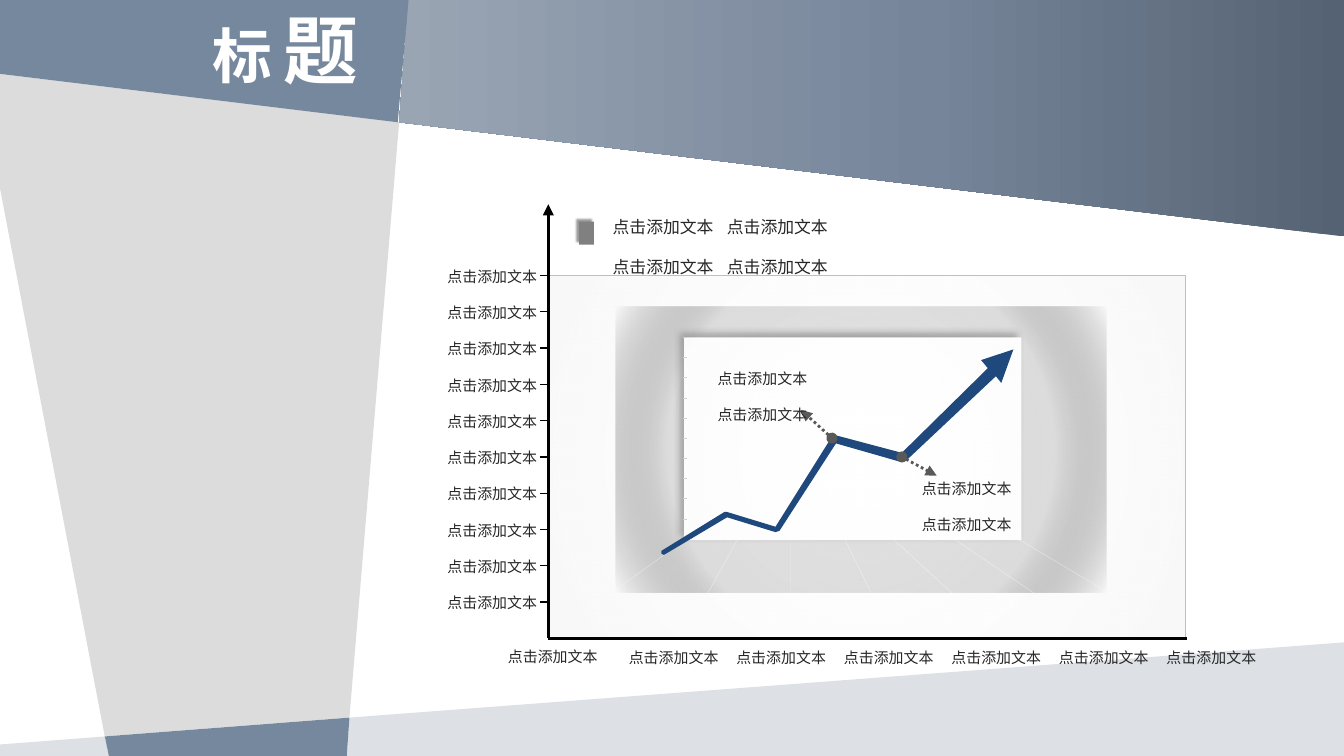
from dataclasses import dataclass

import pptx
import pptx.dml.color
import pptx.enum.dml
import pptx.enum.shapes
import pptx.enum.text
import pptx.oxml.ns
import pptx.util
from lxml import etree
from pptx.util import Inches

qn = pptx.oxml.ns.qn


@dataclass(frozen=True)
class Theme:
    """Hold the colours, font and type sizes."""
    font: str = "Noto Sans CJK SC"
    band: str = "76889D"
    floor: str = "BDC4CF"
    side: str = "9B9B9B"
    ink: str = "262626"
    black: str = "000000"
    white: str = "FFFFFF"
    edge: str = "BFBFBF"
    plot: str = "F2F2F2"
    marker: str = "808080"
    trend: str = "1F497D"
    callout: str = "595959"
    header: tuple = ((0, "556273", 100), (44, "76859A", 100), (100, "9AA5B4", 100))
    title_small: int = 32
    title_large: int = 40
    legend: int = 9
    label: int = 8


THEME = Theme()
WIDTH = 10
HEIGHT = WIDTH * 9 / 16
LABEL = "点击添加文本"
JOINTS = [(6.19, 3.26), (6.71, 3.4)]


def rgb(value):
    """Turn a hex string into a colour."""
    return pptx.dml.color.RGBColor.from_string(value)


def add_node(parent, tag, **attributes):
    """Append an XML child with the given attributes."""
    node = etree.SubElement(parent, qn(tag))
    for key, value in attributes.items():
        node.set(key, str(value))
    return node


def add_color(parent, color, alpha=100):
    """Append an RGB colour with an opacity in percent."""
    node = add_node(parent, "a:srgbClr", val=color)
    if alpha < 100:
        add_node(node, "a:alpha", val=alpha * 1000)


def paint(shape, color, alpha=100):
    """Give a shape a plain fill, no line and no shadow."""
    shape.shadow.inherit = False
    shape.line.fill.background()
    shape.fill.solid()
    shape.fill.fore_color.rgb = rgb(color)
    if alpha < 100:
        node = shape._element.spPr.find(qn("a:solidFill"))[0]
        add_node(node, "a:alpha", val=alpha * 1000)


def paint_gradient(shape, stops, angle=None):
    """Give a shape a linear gradient, or a circular one without an angle."""
    paint(shape, THEME.white)
    properties = shape._element.spPr
    gradient = etree.Element(qn("a:gradFill"), rotWithShape="1")
    stop_list = add_node(gradient, "a:gsLst")
    for position, color, alpha in stops:
        add_color(add_node(stop_list, "a:gs", pos=position * 1000), color, alpha)
    if angle is None:
        route = add_node(gradient, "a:path", path="circle")
        add_node(route, "a:fillToRect", l=50000, t=50000, r=50000, b=50000)
    else:
        add_node(gradient, "a:lin", ang=angle * 60000, scaled=0)
    properties.replace(properties.find(qn("a:solidFill")), gradient)


def add_shadow(shape, blur, distance):
    """Cast a soft shadow to the upper left."""
    effects = shape._element.spPr.find(qn("a:effectLst"))
    shadow = add_node(effects, "a:outerShdw", blurRad=pptx.util.Pt(blur),
                      dist=pptx.util.Pt(distance), dir=225 * 60000, algn="br", rotWithShape=0)
    add_color(shadow, THEME.black, 40)


def add_polygon(page, points):
    """Draw a closed outline through points in inches."""
    corners = [(Inches(x), Inches(y)) for x, y in points]
    builder = page.shapes.build_freeform(*corners[0], scale=1.0)
    builder.add_line_segments(corners[1:], close=True)
    return builder.convert_to_shape()


def add_rectangle(page, left, top, width, height):
    """Draw a rectangle placed in inches."""
    return page.shapes.add_shape(pptx.enum.shapes.MSO_SHAPE.RECTANGLE,
                                 Inches(left), Inches(top), Inches(width), Inches(height))


def add_line(page, start, end, color, width, alpha=100, dash=None, head=None, tail=None):
    """Draw a straight line with optional dash and line ends."""
    line = page.shapes.add_connector(pptx.enum.shapes.MSO_CONNECTOR.STRAIGHT,
                                     *(Inches(value) for value in (*start, *end)))
    line.line.color.rgb = rgb(color)
    line.line.width = pptx.util.Pt(width)
    if dash:
        line.line.dash_style = dash
    properties = line._element.spPr
    stroke = properties.find(qn("a:ln"))
    if alpha < 100:
        add_node(stroke.find(qn("a:solidFill"))[0], "a:alpha", val=alpha * 1000)
    if head:
        add_node(stroke, "a:headEnd", type=head)
    if tail:
        add_node(stroke, "a:tailEnd", type=tail)
    add_node(properties, "a:effectLst")


def style_paragraph(para, color):
    """Set the shared font and colour of a paragraph."""
    para.font.color.rgb = rgb(color)
    para.font.name = THEME.font
    defaults = para._p.pPr.find(qn("a:defRPr"))
    add_node(defaults, "a:ea", typeface=THEME.font)


def add_label(page, left, top, size=THEME.label, lines=1):
    """Place one or more lines of label text."""
    box = page.shapes.add_textbox(Inches(left), Inches(top), Inches(1.02), Inches(0.1 + 0.14 * lines))
    frame = box.text_frame
    frame.word_wrap = True
    frame.text = "\n".join([LABEL] * lines)
    for index, para in enumerate(frame.paragraphs):
        if index:
            para.space_before = pptx.util.Pt(1.2 * size)
        style_paragraph(para, THEME.ink)
        para.font.size = pptx.util.Pt(size)


def add_title(page):
    """Place the title with its two type sizes."""
    box = page.shapes.add_textbox(Inches(1.48), Inches(-0.02), Inches(1.38), Inches(0.77))
    frame = box.text_frame
    frame.word_wrap = False
    frame.vertical_anchor = pptx.enum.text.MSO_ANCHOR.MIDDLE
    para = frame.paragraphs[0]
    style_paragraph(para, THEME.white)
    para.font.bold = True
    for text, size in (("标", THEME.title_small), ("题", THEME.title_large)):
        span = para.add_run()
        span.text = text
        span.font.size = pptx.util.Pt(size)
        span._r.get_or_add_rPr().set("spc", "600")


def add_backdrop(page):
    """Draw the slanted panels behind the content."""
    paint(add_polygon(page, [(0.78, 5.48), (0, 5.54), (0, HEIGHT), (0.81, HEIGHT)]), THEME.floor, 50)
    paint(add_polygon(page, [(10, 4.78), (2.6, 5.34), (2.58, HEIGHT), (10, HEIGHT)]), THEME.floor, 50)
    header = add_polygon(page, [(10, 0), (3.04, 0), (2.97, 0.91), (10, 1.76)])
    paint_gradient(header, THEME.header, 180)
    paint(add_polygon(page, [(0, 0.55), (0, 1.4), (0.78, 5.48), (2.6, 5.34), (2.97, 0.91)]), THEME.side, 35)
    paint(add_polygon(page, [(2.6, 5.34), (0.78, 5.48), (0.81, HEIGHT), (2.58, HEIGHT)]), THEME.band)
    paint(add_polygon(page, [(3.04, 0), (0, 0), (0, 0.55), (2.96, 0.91)]), THEME.band)


def add_room(page):
    """Draw the shaded room, its floor lines, the card and the plot area."""
    room = add_rectangle(page, 4.58, 2.28, 3.65, 2.13)
    paint_gradient(room, [(0, THEME.black, 12), (68, THEME.black, 18), (100, THEME.white, 100)])
    floor_lines = [(4.08, 5.48), (5.08, 5.64), (5.88, 5.88), (6.65, 6.15),
                   (7.45, 6.35), (8.19, 6.7), (8.82, 7.12)]
    for near, far in floor_lines:
        add_line(page, (near, 4.75), (far, 3.74), THEME.white, 0.25, alpha=50)
    card = add_rectangle(page, 5.09, 2.51, 2.51, 1.51)
    paint(card, THEME.white)
    add_shadow(card, 4, 3)
    for row in range(10):
        height = 2.51 + 0.15 * row
        add_line(page, (5.08, height), (5.11, height), THEME.edge, 0.25)
    plot = add_rectangle(page, 4.08, 2.05, 4.74, 2.69)
    paint_gradient(plot, [(0, THEME.white, 11), (100, THEME.plot, 51)])
    plot.line.color.rgb = rgb(THEME.edge)
    plot.line.width = pptx.util.Pt(0.25)


def add_trend(page):
    """Draw the rising arrow and its two callouts."""
    ribbon = [(4.94, 4.13), (4.92, 4.12), (4.92, 4.1), (5.39, 3.81), (5.41, 3.81), (5.77, 3.92),
              (6.19, 3.25), (6.22, 3.24), (6.71, 3.37), (7.35, 2.74), (7.3, 2.68), (7.54, 2.6),
              (7.45, 2.85), (7.41, 2.8), (6.74, 3.43), (6.71, 3.44), (6.22, 3.3), (5.8, 3.95),
              (5.77, 3.96), (5.41, 3.85)]
    paint(add_polygon(page, ribbon), THEME.trend)
    for joint, target in zip(JOINTS, [(5.96, 3.05), (6.97, 3.54)]):
        add_line(page, joint, target, THEME.callout, 1.5, head="oval", tail="triangle",
                 dash=pptx.enum.dml.MSO_LINE.ROUND_DOT)
    for left, top in ((5.24, 2.7), (6.76, 3.52)):
        add_label(page, left, top, lines=2)


def add_axes(page):
    """Draw both axes with ticks and labels."""
    for row in range(10):
        height = 2.05 + 0.27 * row
        add_line(page, (4.02, height), (4.07, height), THEME.black, 0.75)
        add_label(page, 3.23, 1.94 + 0.27 * row)
    add_line(page, (4.08, 1.52), (4.08, 4.75), THEME.black, 1.5, head="triangle")
    add_line(page, (4.08, 4.75), (8.83, 4.75), THEME.black, 1.5)
    add_label(page, 3.68, 4.77)
    for column in range(6):
        add_label(page, 4.58 + 0.8 * column, 4.78)


def add_legend(page):
    """Draw the legend marker and its two columns of text."""
    marker = add_rectangle(page, 4.31, 1.65, 0.11, 0.17)
    paint(marker, THEME.marker)
    add_shadow(marker, 1, 2)
    for left in (4.46, 5.31):
        add_label(page, left, 1.56, THEME.legend, lines=2)


def main():
    """Build the slide and save it."""
    deck = pptx.Presentation()
    deck.slide_width, deck.slide_height = Inches(WIDTH), Inches(HEIGHT)
    page = deck.slides.add_slide(deck.slide_layouts[6])
    for add_part in (add_backdrop, add_title, add_room, add_legend, add_trend, add_axes):
        add_part(page)
    deck.save("out.pptx")


if __name__ == "__main__":
    main()
